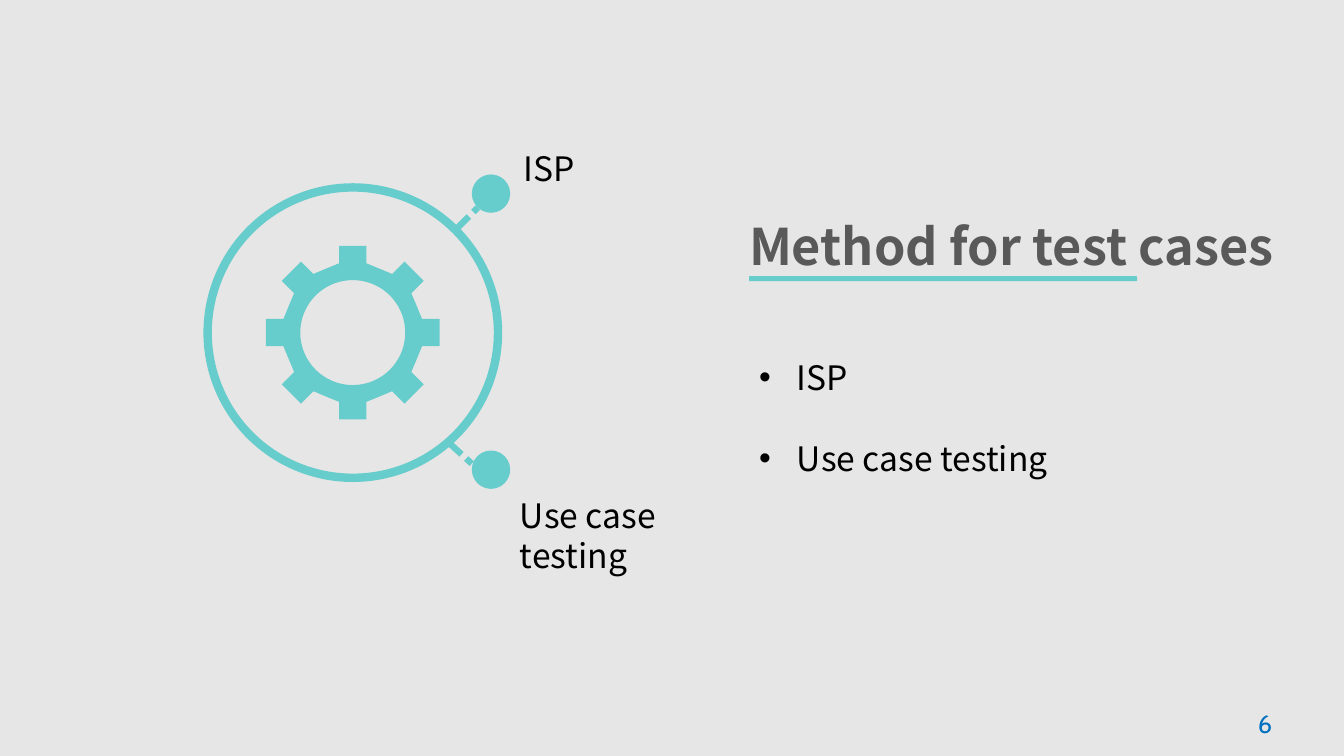
from collections import namedtuple
from dataclasses import dataclass
from math import cos, pi, sin

from lxml import etree
from pptx import Presentation
from pptx.dml.color import RGBColor
from pptx.enum.dml import MSO_LINE
from pptx.enum.shapes import MSO_CONNECTOR, MSO_SHAPE
from pptx.enum.text import MSO_ANCHOR, MSO_AUTO_SIZE, PP_ALIGN
from pptx.oxml.ns import qn
from pptx.util import Pt

OVAL = MSO_SHAPE.OVAL
ROUNDED = MSO_SHAPE.ROUNDED_RECTANGLE
STRAIGHT = MSO_CONNECTOR.STRAIGHT
DASH = MSO_LINE.SQUARE_DOT
TOP = MSO_ANCHOR.TOP
LEFT = PP_ALIGN.LEFT
NO_FIT = MSO_AUTO_SIZE.NONE

Box = namedtuple("Box", "left top width height")


@dataclass(frozen=True)
class Theme:
    background: RGBColor = RGBColor.from_string("E7E6E6")
    accent: RGBColor = RGBColor.from_string("66CDCC")
    heading: RGBColor = RGBColor.from_string("595959")
    ink: RGBColor = RGBColor.from_string("000000")
    number: RGBColor = RGBColor.from_string("0070C0")
    font: str = "Noto Sans CJK SC"
    number_font: str = "Cabin"
    title_size: int = 36
    text_size: int = 24
    number_size: int = 18


THEME = Theme()


def place(shape, box):
    for name, value in box._asdict().items():
        setattr(shape, name, Pt(value))


def write(shape, lines, size, color, font=THEME.font, bold=False, wrap=True, spacing=1.0):
    frame = shape.text_frame
    for name, value in {"word_wrap": wrap, "auto_size": NO_FIT, "vertical_anchor": TOP}.items():
        setattr(frame, name, value)
    frame.text = "\n".join(lines)
    para_format = {"alignment": LEFT, "line_spacing": spacing, "space_before": Pt(0)}
    span_format = {"name": font, "size": Pt(size), "bold": bold}
    for para in frame.paragraphs:
        for name, value in para_format.items():
            setattr(para, name, value)
        for span in para.runs:
            for name, value in span_format.items():
                setattr(span.font, name, value)
            span.font.color.rgb = color


def add_label(page, box, text, size=THEME.text_size, color=THEME.ink, font=THEME.font):
    label = page.shapes.add_textbox(*map(Pt, box))
    write(label, [text], size, color, font)


def fill_accent(shape):
    shape.shadow.inherit = False
    shape.fill.solid()
    shape.fill.fore_color.rgb = THEME.accent
    shape.line.fill.background()


def add_gear(page, center_x, center_y):
    teeth, tip, root, half_tooth, hole = 8, 62, 49.5, 9.7, 37.5
    valley = pi / teeth
    profile = [
        (root, -half_tooth), (tip, -half_tooth), (tip, half_tooth), (root, half_tooth),
        (root * cos(valley), root * sin(valley)),
    ]

    def turn(x, y, angle):
        return (Pt(center_x + x * cos(angle) - y * sin(angle)),
                Pt(center_y + x * sin(angle) + y * cos(angle)))

    outline = [turn(x, y, 2 * pi * tooth / teeth) for tooth in range(teeth) for x, y in profile]
    opening = [turn(hole, 0, 2 * pi * step / 72) for step in range(72)]
    builder = page.shapes.build_freeform(*outline[0])
    builder.add_line_segments(outline[1:], close=True)
    builder.move_to(*opening[0])
    builder.add_line_segments(opening[1:], close=True)
    fill_accent(builder.convert_to_shape())


def add_spoke(page, start, end):
    spoke = page.shapes.add_connector(STRAIGHT, *map(Pt, start + end))
    for name, value in {"width": Pt(4.5), "dash_style": DASH}.items():
        setattr(spoke.line, name, value)
    spoke.line.color.rgb = THEME.accent
    etree.SubElement(spoke._element.spPr, qn("a:effectLst"))


def build_diagram(page, box):
    ring_size, dot_size = 207.4, 27.4
    ring_top = box.top + 31.7
    ring = page.shapes.add_shape(OVAL, *map(Pt, (box.left, ring_top, ring_size, ring_size)))
    ring.shadow.inherit = False
    ring.fill.background()
    ring.line.color.rgb = THEME.accent
    ring.line.width = Pt(6)
    add_gear(page, box.left + ring_size / 2, ring_top + ring_size / 2)

    branches = [
        ("ISP", (177.1, 62), (193, 46.1), 22.4, Box(218.9, 0, 81.4, 36)),
        ("Use case testing", (171.4, 213.2), (188.7, 229), 219.6, Box(216, 247.7, 118.8, 65.5)),
    ]
    for text, start, end, dot_top, label in branches:
        add_spoke(page, *((box.left + x, box.top + y) for x, y in (start, end)))
        dot_box = (box.left + 188.7, box.top + dot_top, dot_size, dot_size)
        fill_accent(page.shapes.add_shape(OVAL, *map(Pt, dot_box)))
        add_label(page, label._replace(left=box.left + label.left, top=box.top + label.top), text)


def build_heading(page, box):
    title = page.shapes.title
    place(title, box)
    write(title, ["Method for test cases"], THEME.title_size, THEME.heading, bold=True, wrap=False)
    rule_box = (box.left + 7.2, box.top + 47.5, 277.2, 3.6)
    rule = page.shapes.add_shape(ROUNDED, *map(Pt, rule_box))
    fill_accent(rule)


def build_methods(page, box):
    body = page.placeholders[1]
    place(body, box)
    write(body, ["ISP", "Use case testing"], THEME.text_size, THEME.ink, spacing=2.0)
    for para in body.text_frame.paragraphs:
        properties = para._p.get_or_add_pPr()
        for name, value in {"marL": Pt(27), "indent": -Pt(27)}.items():
            properties.set(name, str(int(value)))


def main():
    deck = Presentation()
    deck.slide_width, deck.slide_height = Pt(960), Pt(540)
    page = deck.slides.add_slide(deck.slide_layouts[1])
    page.background.fill.solid()
    page.background.fill.fore_color.rgb = THEME.background
    build_diagram(page, Box(148.3, 102.2, 334.8, 313.2))
    build_heading(page, Box(527.8, 149.8, 411.8, 51.1))
    build_methods(page, Box(535, 222.5, 295.2, 123.8))
    add_label(page, Box(891.4, 502.6, 49.7, 29.5), "6",
              THEME.number_size, THEME.number, THEME.number_font)
    deck.save("out.pptx")


if __name__ == "__main__":
    main()
